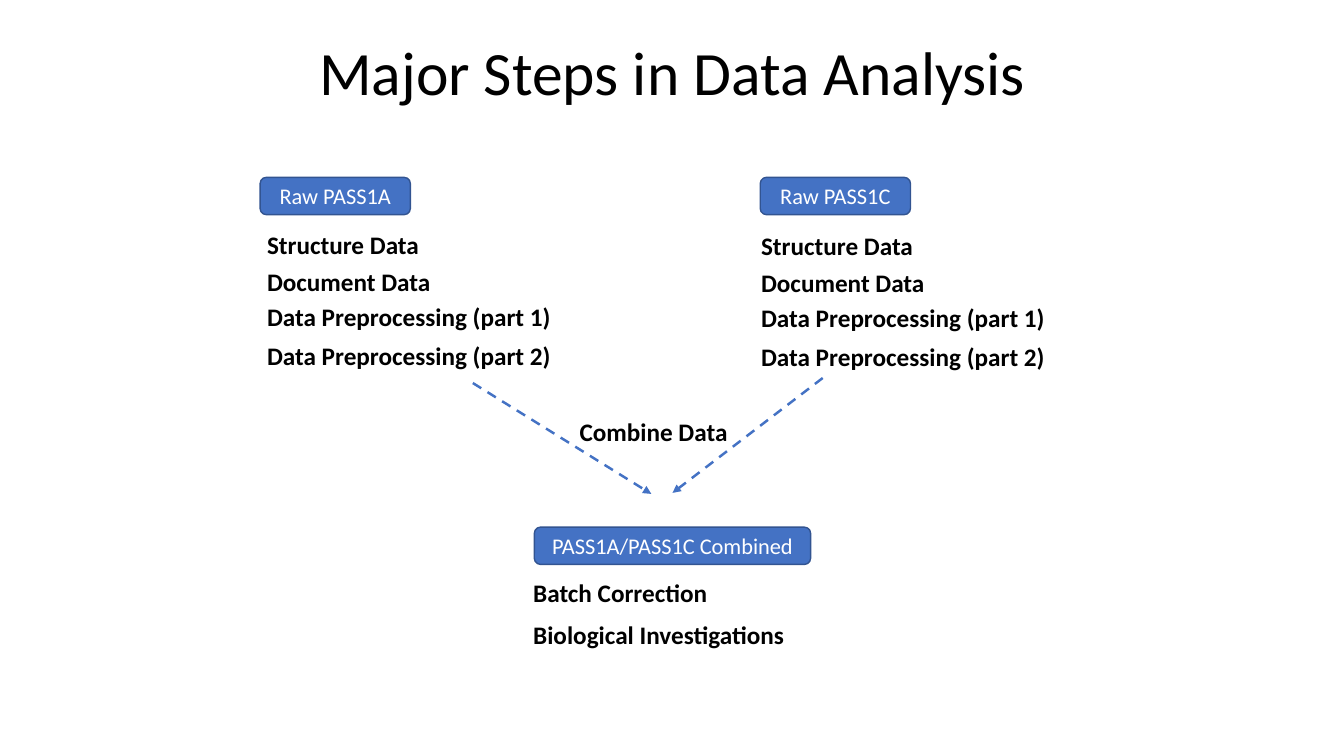
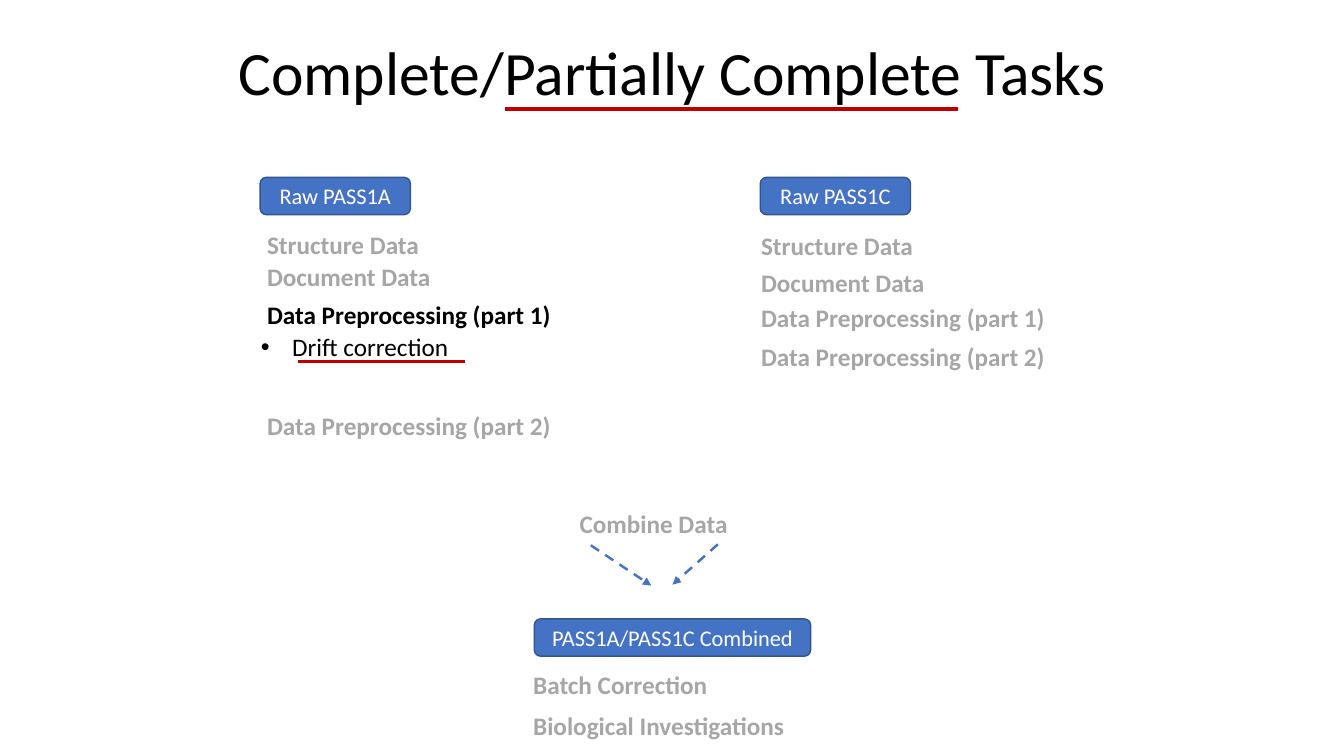
from pptx import Presentation
from pptx.dml.color import RGBColor
from pptx.enum.dml import MSO_LINE
from pptx.enum.shapes import MSO_CONNECTOR, MSO_SHAPE
from pptx.enum.text import MSO_ANCHOR, PP_ALIGN
from pptx.oxml.ns import qn
from pptx.util import Inches, Pt
from lxml import etree

BLACK = RGBColor(0x00, 0x00, 0x00)
WHITE = RGBColor(0xFF, 0xFF, 0xFF)
GRAY = RGBColor(0xA6, 0xA6, 0xA6)
BLUE = RGBColor(0x44, 0x72, 0xC4)
NAVY = RGBColor(0x32, 0x54, 0x91)
RED = RGBColor(0xC0, 0x00, 0x00)
FONT = "Calibri"
ROUNDED = MSO_SHAPE.ROUNDED_RECTANGLE
STRAIGHT = MSO_CONNECTOR.STRAIGHT
DASH = MSO_LINE.DASH
CENTER = PP_ALIGN.CENTER
MIDDLE = MSO_ANCHOR.MIDDLE

BADGE_H = 0.37
TASK_W, TASK_H = 3.31, 0.4
PREP_TASKS = ("Structure Data", "Document Data",
              "Data Preprocessing (part 1)", "Data Preprocessing (part 2)")
PREP_OFFSETS = (0, 0.36, 0.71, 1.1)
MERGED_TASKS = ("Batch Correction", "Biological Investigations")
MERGED_OFFSETS = (0, 0.41)


def write(sp, text, size, color, bold=False, align=None):
    """Write one run into a shape and return its paragraph."""
    tf = sp.text_frame
    tf.word_wrap = True
    p = tf.paragraphs[0]
    p.alignment = align
    r = p.add_run()
    r.text = text
    r.font.name = FONT
    r.font.size = Pt(size)
    r.font.bold = bold
    r.font.color.rgb = color
    return p


def add_text(s, box, text, size, color, bold=False, align=None):
    """Add a text box and return its shape and paragraph."""
    sp = s.shapes.add_textbox(*map(Inches, box))
    return sp, write(sp, text, size, color, bold, align)


def add_title(s, text):
    """Add the slide title."""
    sp, p = add_text(s, (0.92, 0.02, 11.5, 1.45), text, 44, BLACK, align=CENTER)
    sp.text_frame.vertical_anchor = MIDDLE
    p.line_spacing = 0.9


def add_line(s, start, end, color, width):
    """Add a straight line without shadow."""
    line = s.shapes.add_connector(STRAIGHT, *map(Inches, (*start, *end)))
    line.line.color.rgb = color
    line.line.width = Pt(width)
    etree.SubElement(line._element.spPr, qn("a:effectLst"))
    return line


def add_arrow(s, start, end):
    """Add a dashed blue arrow."""
    line = add_line(s, start, end, BLUE, 1.75).line
    line.dash_style = DASH
    etree.SubElement(line._get_or_add_ln(), qn("a:tailEnd"), type="triangle")


def add_bullet(s, x, y, text):
    """Add a bulleted sub-task."""
    _, p = add_text(s, (x, y, 4.63, TASK_H), text, 18, BLACK)
    pPr = p._p.get_or_add_pPr()
    indent = Inches(0.31)
    pPr.set("marL", str(indent))
    pPr.set("indent", str(-indent))
    etree.SubElement(pPr, qn("a:buFont"), typeface="Arial")
    etree.SubElement(pPr, qn("a:buChar"), char="•")


def add_badge(s, x, y, w, label):
    """Add a rounded dataset label."""
    sp = s.shapes.add_shape(ROUNDED, *map(Inches, (x, y, w, BADGE_H)))
    sp.shadow.inherit = False
    sp.fill.solid()
    sp.fill.fore_color.rgb = BLUE
    sp.line.color.rgb = NAVY
    sp.line.width = Pt(1)
    sp.text_frame.vertical_anchor = MIDDLE
    write(sp, label, 16, WHITE, align=CENTER)


def add_tasks(s, x, y, tasks, offsets, color, active=()):
    """Stack bold tasks below y, with the active ones in black."""
    for task, dy in zip(tasks, offsets):
        shade = BLACK if task in active else color
        add_text(s, (x, y + dy, TASK_W, TASK_H), task, 18, shade, True)


def add_raw_stages(s, color, left_offsets=PREP_OFFSETS, left_active=()):
    """Add the two raw datasets with their preparation tasks."""
    y, w = 1.76, 1.49
    add_badge(s, 2.58, y, w, "Raw PASS1A")
    add_badge(s, 7.54, y, w, "Raw PASS1C")
    add_tasks(s, 2.55, y + 0.47, PREP_TASKS, left_offsets, color, left_active)
    add_tasks(s, 7.45, y + 0.48, PREP_TASKS, PREP_OFFSETS, color)


def add_merge_stage(s, y, color, left_start, right_start):
    """Add the combining step, its arrows and the merged dataset below y."""
    add_arrow(s, right_start, (6.67, y + 0.81))
    add_arrow(s, left_start, (6.46, y + 0.82))
    add_text(s, (5.65, y, TASK_W, TASK_H), "Combine Data", 18, color, True)
    add_badge(s, 5.3, y + 1.15, 2.74, "PASS1A/PASS1C Combined")
    add_tasks(s, 5.19, y + 1.6, MERGED_TASKS, MERGED_OFFSETS, color)


def build_steps(s):
    """Build the overview of all steps."""
    add_title(s, "Major Steps in Data Analysis")
    add_raw_stages(s, BLACK)
    add_merge_stage(s, 4.08, BLACK, (4.69, 3.8), (8.16, 3.75))


def build_progress(s):
    """Build the view that highlights the tasks in progress."""
    add_title(s, "Complete/Partially Complete Tasks")
    add_raw_stages(s, GRAY, (0, 0.31, 0.69, 1.79), PREP_TASKS[2:3])
    add_bullet(s, 2.49, 3.24, "Drift correction")
    add_merge_stage(s, 4.99, GRAY, (5.86, 5.41), (7.12, 5.4))
    add_line(s, (5.01, 1.08), (9.5, 1.08), RED, 2.75)
    add_line(s, (2.96, 3.59), (4.61, 3.59), RED, 2)


def main():
    """Build and save the presentation."""
    prs = Presentation()
    prs.slide_width, prs.slide_height = Inches(13.33), Inches(7.5)
    for build in (build_steps, build_progress):
        build(prs.slides.add_slide(prs.slide_layouts[6]))
    prs.save("out.pptx")


if __name__ == "__main__":
    main()
